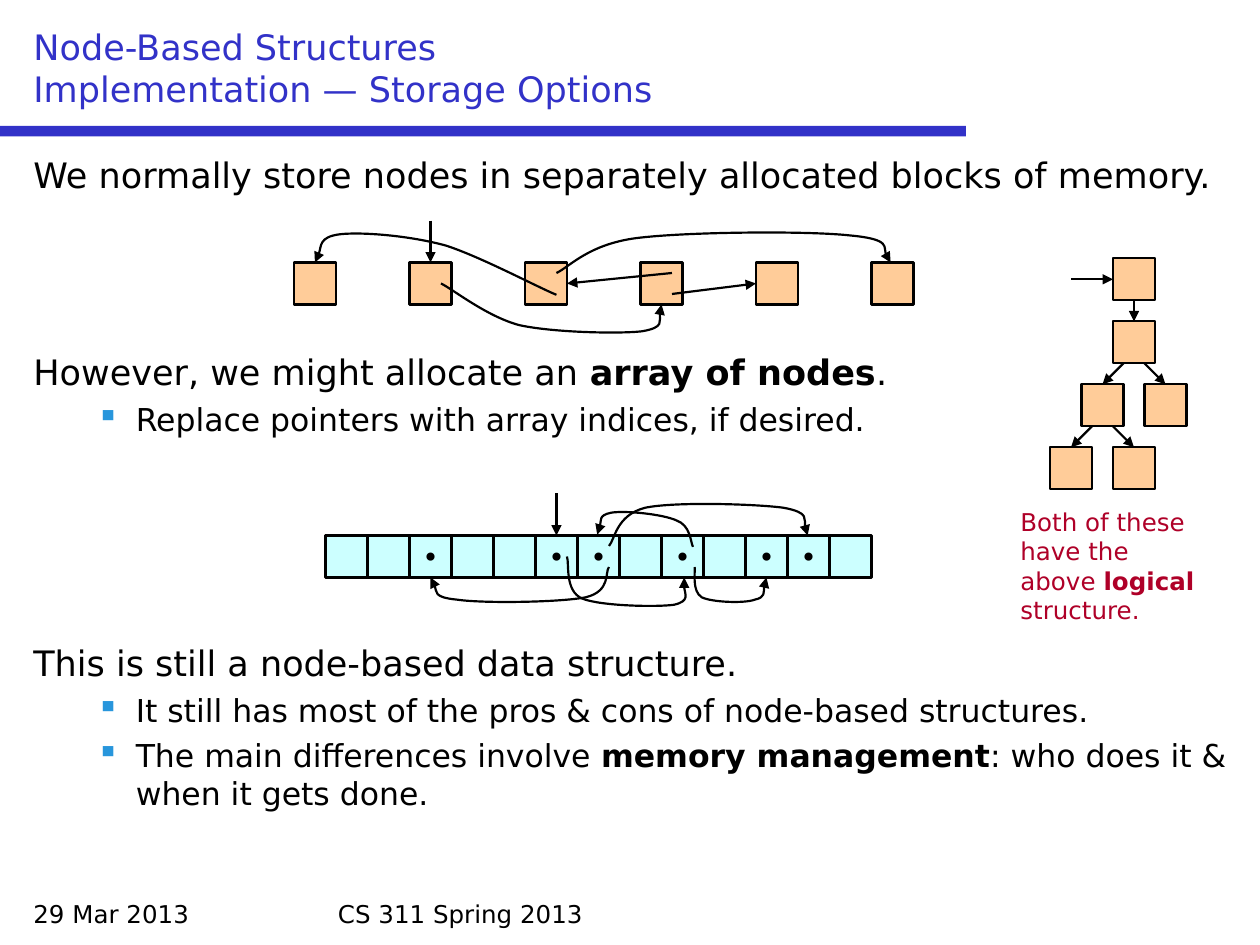
import pptx
import pptx.dml.color
import pptx.enum.shapes
import pptx.enum.text
import pptx.oxml
import pptx.oxml.ns
import pptx.util
from lxml import etree
from dataclasses import dataclass

Pt = pptx.util.Pt
qn = pptx.oxml.ns.qn
ANCHOR = pptx.enum.text.MSO_ANCHOR
ALIGN = pptx.enum.text.PP_ALIGN


@dataclass(frozen=True)
class Theme:
    font: str = "DejaVu Sans"
    ink: str = "000000"
    accent: str = "3232C8"
    bullet: str = "2896DC"
    note: str = "AF0028"
    node: str = "FFCC99"
    cell: str = "CCFFFF"
    heading: float = 20
    detail: float = 18
    dot: float = 16
    small: float = 14
    stroke: float = 1.25


THEME = Theme()


def rgb(code):
    return pptx.dml.color.RGBColor.from_string(code)


def write(paragraph, text, size=THEME.heading, color=THEME.ink, before=0, align=ALIGN.LEFT, bullet=False):
    """Fill a paragraph; **marks** enclose bold words and a newline breaks the line."""
    paragraph.alignment = align
    paragraph.space_before = Pt(before)
    for part, words in enumerate(text.split("**")):
        for row, line in enumerate(words.split("\n")):
            if row:
                paragraph.add_line_break()
            if line:
                run = paragraph.add_run()
                run.text = line
                run.font.name, run.font.size = THEME.font, Pt(size)
                run.font.bold = part % 2 == 1
                run.font.color.rgb = rgb(color)
    if bullet:
        props = paragraph._p.get_or_add_pPr()
        props.set("marL", str(Pt(58.5)))
        props.set("indent", str(Pt(-22.5)))
        hue = etree.SubElement(props, qn("a:buClr"))
        etree.SubElement(hue, qn("a:srgbClr")).set("val", THEME.bullet)
        etree.SubElement(props, qn("a:buChar")).set("char", "▪")


class Sketch:
    def __init__(self, theme, slide):
        self.theme = theme
        self.shapes = slide.shapes

    def text(self, left, top, width, height, *paragraphs, anchor=ANCHOR.TOP):
        frame = self.shapes.add_textbox(Pt(left), Pt(top), Pt(width), Pt(height)).text_frame
        frame.word_wrap = True
        frame.vertical_anchor = anchor
        for index, (words, style) in enumerate(paragraphs):
            write(frame.add_paragraph() if index else frame.paragraphs[0], words, **style)

    def box(self, left, top, width, height, fill, outlined=True, label=""):
        box = self.shapes.add_shape(pptx.enum.shapes.MSO_SHAPE.RECTANGLE,
                                    Pt(left), Pt(top), Pt(width), Pt(height))
        box.shadow.inherit = False
        box.fill.solid()
        box.fill.fore_color.rgb = rgb(fill)
        if outlined:
            self.stroke(box)
        else:
            box.line.fill.background()
        if label:
            box.text_frame.word_wrap = False
            box.text_frame.vertical_anchor = ANCHOR.MIDDLE
            write(box.text_frame.paragraphs[0], label, size=self.theme.dot, align=ALIGN.CENTER)

    def stroke(self, shape, arrow=False):
        shape.line.color.rgb = rgb(self.theme.ink)
        shape.line.width = Pt(self.theme.stroke)
        if arrow:
            etree.SubElement(shape.line._get_or_add_ln(), qn("a:tailEnd")).set("type", "triangle")

    def arrow(self, x1, y1, x2, y2):
        line = self.shapes.add_connector(pptx.enum.shapes.MSO_CONNECTOR.STRAIGHT,
                                         Pt(x1), Pt(y1), Pt(x2), Pt(y2))
        self.stroke(line, arrow=True)
        etree.SubElement(line._element.spPr, qn("a:effectLst"))

    def curve(self, points):
        """Arrow along cubic curves: a start, then three points for each curve."""
        start, *rest = [(Pt(x), Pt(y)) for x, y in points]
        builder = self.shapes.build_freeform(*start)
        builder.add_line_segments(rest, close=False)
        link = builder.convert_to_shape()
        link.shadow.inherit = False
        link.fill.background()
        self.stroke(link, arrow=True)
        steps = list(link._element.iter(qn("a:lnTo")))
        for first in range(0, len(steps), 3):
            bend = etree.Element(qn("a:cubicBezTo"))
            steps[first].addprevious(bend)
            for step in steps[first:first + 3]:
                bend.append(step[0])
                step.getparent().remove(step)


deck = pptx.Presentation()
deck.slide_width, deck.slide_height = Pt(720), Pt(540)
sketch = Sketch(THEME, deck.slides.add_slide(deck.slide_layouts[6]))

# Title, rule and footer
sketch.box(0, 72, 552, 6, THEME.accent, outlined=False)
sketch.text(12, 12, 696, 54, ("Node-Based Structures\nImplementation — Storage Options",
                              dict(color=THEME.accent)), anchor=ANCHOR.BOTTOM)
sketch.text(12, 510, 168, 24, ("29 Mar 2013", dict(size=THEME.small)))
sketch.text(186, 510, 348, 24, ("CS 311 Spring 2013", dict(size=THEME.small)))

# Body, with room for the diagrams between the statements
point = dict(size=THEME.detail, before=4.2, bullet=True)
sketch.text(
    12, 84, 696, 420,
    ("We normally store nodes in separately allocated blocks of memory.", {}),
    ("However, we might allocate an **array of nodes**.", dict(before=88.7)),
    ("Replace pointers with array indices, if desired.", point),
    ("This is still a node-based data structure.", dict(before=116.5)),
    ("It still has most of the pros & cons of node-based structures.", point),
    ("The main differences involve **memory management**: who does it & when it gets done.", point))

SIDE = 24

# Logical tree: column centre and level of each node, then parent and child
tree_top, level_step = 147.6, 36
tree = [(648, 0), (648, 1), (630, 2), (666, 2), (612, 3), (648, 3)]
for center, level in tree:
    sketch.box(center - SIDE / 2, tree_top + level * level_step, SIDE, SIDE, THEME.node)
for parent, child in [(0, 1), (1, 2), (1, 3), (2, 4), (2, 5)]:
    (x1, level), (x2, below) = tree[parent], tree[child]
    lean = (x2 > x1) - (x2 < x1)
    sketch.arrow(x1 + 6 * lean, tree_top + level * level_step + SIDE,
                 x2, tree_top + below * level_step)
sketch.arrow(612, 159.6, 636, 159.6)
sketch.text(576, 286, 120, 75.6, ("Both of these have the above **logical** structure.",
                                  dict(size=THEME.small, color=THEME.note)))

# Separately allocated nodes
for index in range(6):
    sketch.box(168 + 66 * index, 150, SIDE, SIDE, THEME.node)
for ends in [(246, 126, 246, 150), (384, 156, 324, 162), (384, 168, 432, 162)]:
    sketch.arrow(*ends)

# Array of nodes
used_cells = {2, 5, 6, 8, 10, 11}
for index in range(13):
    sketch.box(186 + SIDE * index, 306, SIDE, SIDE, THEME.cell,
               label="•" if index in used_cells else "")
sketch.arrow(318, 282, 318, 306)

# Curved pointers: nodes first, then array cells
pointers = [
    [(318, 168.5), (307.4, 164.2), (275, 146.9), (254.9, 140.4), (234, 134.6),
     (206.6, 132.5), (194.4, 133.9), (182.2, 135.4), (182.9, 146.9), (180, 150)],
    [(318, 156), (325.4, 152.6), (336.2, 139.7), (363.6, 136.1), (391.7, 132.5),
     (461.5, 131.8), (486, 134.6), (509.8, 136.8), (504, 146.9), (509, 150)],
    [(252, 162), (259.2, 165.6), (277.9, 180.7), (296.6, 185.8), (316.1, 190.1),
     (353.5, 190.8), (366.5, 189.4), (380.2, 187.2), (375.8, 177.1), (378, 174)],
    [(324, 318), (325.4, 321.8), (322.6, 337.7), (332.6, 342), (342.7, 346.3),
     (375.1, 347), (385.2, 345.6), (394.6, 343.4), (389.5, 333.4), (391, 330)],
    [(348, 312), (351.4, 308.2), (352.1, 294.5), (368.6, 290.2), (385.2, 286.6),
     (432, 288), (447.8, 290.2), (463, 293), (458.6, 302.4), (461.5, 306)],
    [(397, 324), (397.4, 326.9), (395.3, 337.7), (401, 341.3), (406.8, 344.2),
     (425.5, 344.9), (431.3, 342.7), (437.8, 341.3), (436.3, 332.6), (438, 330)],
    [(396, 312.5), (394.6, 309.6), (394.6, 300.2), (386.6, 297.4), (378.7, 293.8),
     (357.1, 291.6), (349.2, 293), (342, 294.5), (343.4, 303.1), (341.3, 305.5)],
    [(348, 324), (345.6, 326.9), (349.2, 337.7), (334.8, 341.3), (320.4, 344.2),
     (276.5, 344.9), (261.4, 342.7), (247, 341.3), (249.1, 332.6), (246, 330)],
]
for pointer in pointers:
    sketch.curve(pointer)

deck.save("out.pptx")
